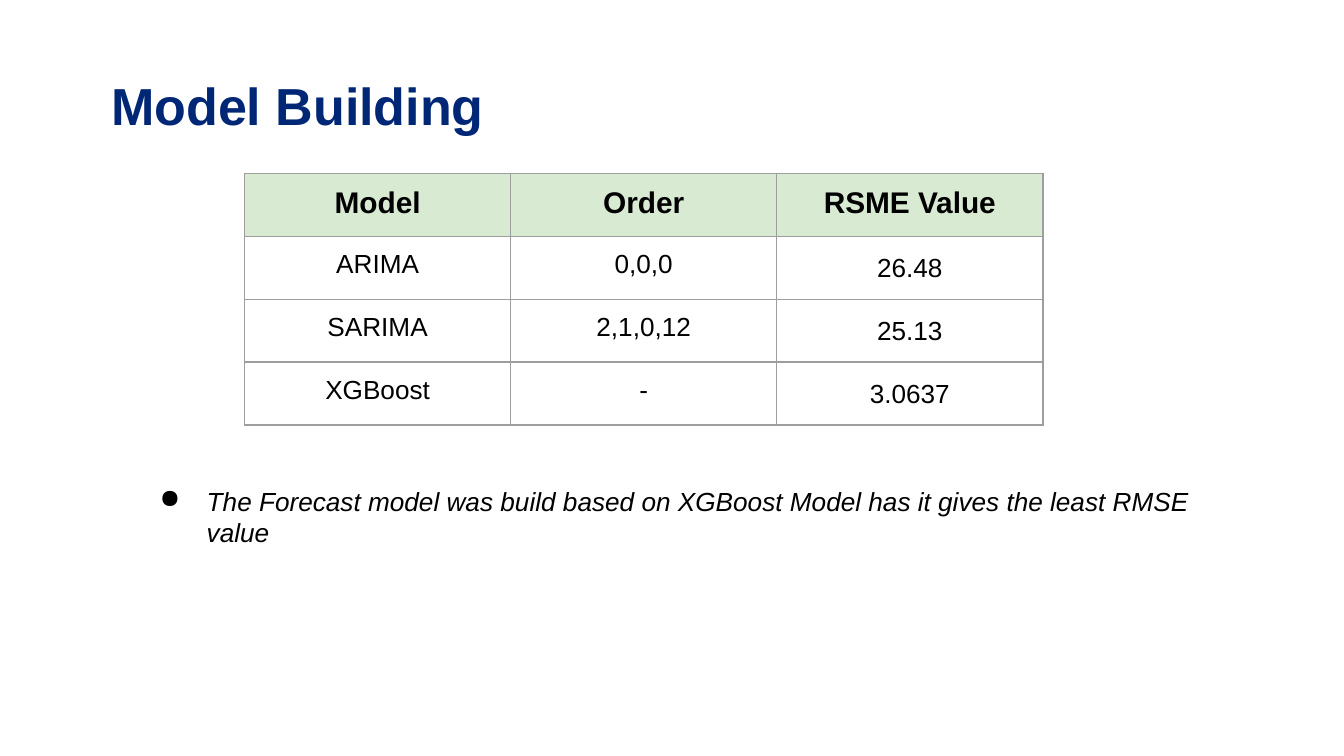
from copy import deepcopy

from lxml import etree
from pptx import Presentation
from pptx.dml.color import RGBColor
from pptx.enum.text import MSO_ANCHOR, PP_ALIGN
from pptx.oxml.ns import qn
from pptx.util import Inches, Pt

FONT = "Arial"
BLACK = "000000"
NAVY = "002776"
HEADER_GREEN = "D9EAD3"
BORDER_GRAY = "9E9E9E"
PADDING = Inches(0.1)

RESULTS = [
    ("Model", "Order", "RSME Value"),
    ("ARIMA", "0,0,0", "26.48"),
    ("SARIMA", "2,1,0,12", "25.13"),
    ("XGBoost", "-", "3.0637"),
]


def color(value):
    return RGBColor.from_string(value)


def write(paragraph, text, size, value=BLACK, bold=False, italic=False):
    """Add a run whose font also sizes the bullet and the paragraph end."""
    run = paragraph.add_run()
    run.text = text
    font = run.font
    font.name = FONT
    font.size = Pt(size)
    font.bold = bold
    font.italic = italic
    font.color.rgb = color(value)
    end_properties = deepcopy(run._r.get_or_add_rPr())
    end_properties.tag = qn("a:endParaRPr")
    paragraph._p.append(end_properties)


def pad(container):
    """Set equal inner margins on a text frame or a table cell."""
    container.margin_left = container.margin_right = PADDING
    container.margin_top = container.margin_bottom = PADDING


def add_text_box(slide, left, top, width, height):
    """Add a wrapping text box and return its paragraph."""
    box = slide.shapes.add_textbox(Inches(left), Inches(top), Inches(width), Inches(height))
    frame = box.text_frame
    frame.word_wrap = True
    frame.vertical_anchor = MSO_ANCHOR.TOP
    pad(frame)
    return frame.paragraphs[0]


def add_title(slide, text, left, top, width, height):
    paragraph = add_text_box(slide, left, top, width, height)
    paragraph.line_spacing = 1.15
    paragraph.space_after = Pt(10)
    write(paragraph, text, 27.9, NAVY, bold=True)


def add_bullet(slide, text, left, top, width, height):
    paragraph = add_text_box(slide, left, top, width, height)
    write(paragraph, text, 14, italic=True)
    properties = paragraph._p.get_or_add_pPr()
    properties.set("marL", str(Inches(0.5)))
    properties.set("indent", str(Inches(-0.35)))
    etree.SubElement(properties, qn("a:buChar"), char="●")


def set_borders(cell):
    properties = cell._tc.get_or_add_tcPr()
    for side in ("lnL", "lnR", "lnT", "lnB"):
        line = etree.SubElement(properties, qn(f"a:{side}"), w=str(Pt(0.75)))
        fill = etree.SubElement(line, qn("a:solidFill"))
        etree.SubElement(fill, qn("a:srgbClr"), val=BORDER_GRAY)


def fill_cell(cell, text, is_header, is_value):
    set_borders(cell)
    pad(cell)
    if is_header:
        cell.fill.solid()
        cell.fill.fore_color.rgb = color(HEADER_GREEN)
    else:
        cell.fill.background()
    paragraph = cell.text_frame.paragraphs[0]
    paragraph.alignment = PP_ALIGN.CENTER
    if is_value:
        paragraph.line_spacing = 1.15
    write(paragraph, text, 16 if is_header else 14, bold=is_header)


def add_results_table(slide, rows, left, top, width, height):
    column_count = len(rows[0])
    table = slide.shapes.add_table(
        len(rows), column_count, Inches(left), Inches(top), Inches(width), Inches(height)
    ).table
    table.first_row = table.horz_banding = False
    for row_index, row in enumerate(rows):
        for column_index, text in enumerate(row):
            is_header = row_index == 0
            is_value = not is_header and column_index == column_count - 1
            fill_cell(table.cell(row_index, column_index), text, is_header, is_value)


def main():
    presentation = Presentation()
    presentation.slide_width = Inches(10)
    presentation.slide_height = presentation.slide_width * 9 // 16
    slide = presentation.slides.add_slide(presentation.slide_layouts[6])
    add_title(slide, "Model Building", 0.73, 0.38, 4.03, 0.63)
    add_results_table(slide, RESULTS, 1.82, 1.29, 5.94, 1.68)
    add_bullet(
        slide,
        "The Forecast model was build based on XGBoost Model has it gives the least RMSE value",
        0.94, 3.51, 8.07, 0.67,
    )
    presentation.save("out.pptx")


if __name__ == "__main__":
    main()
